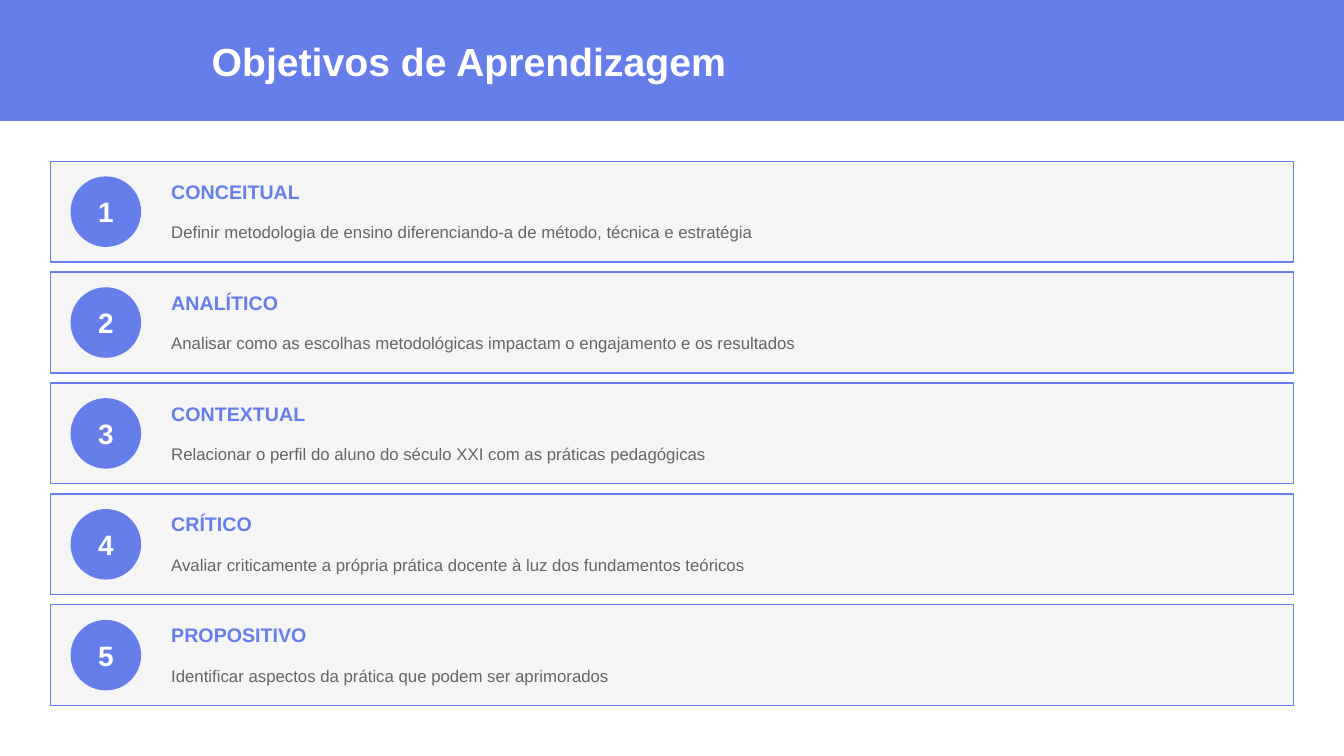
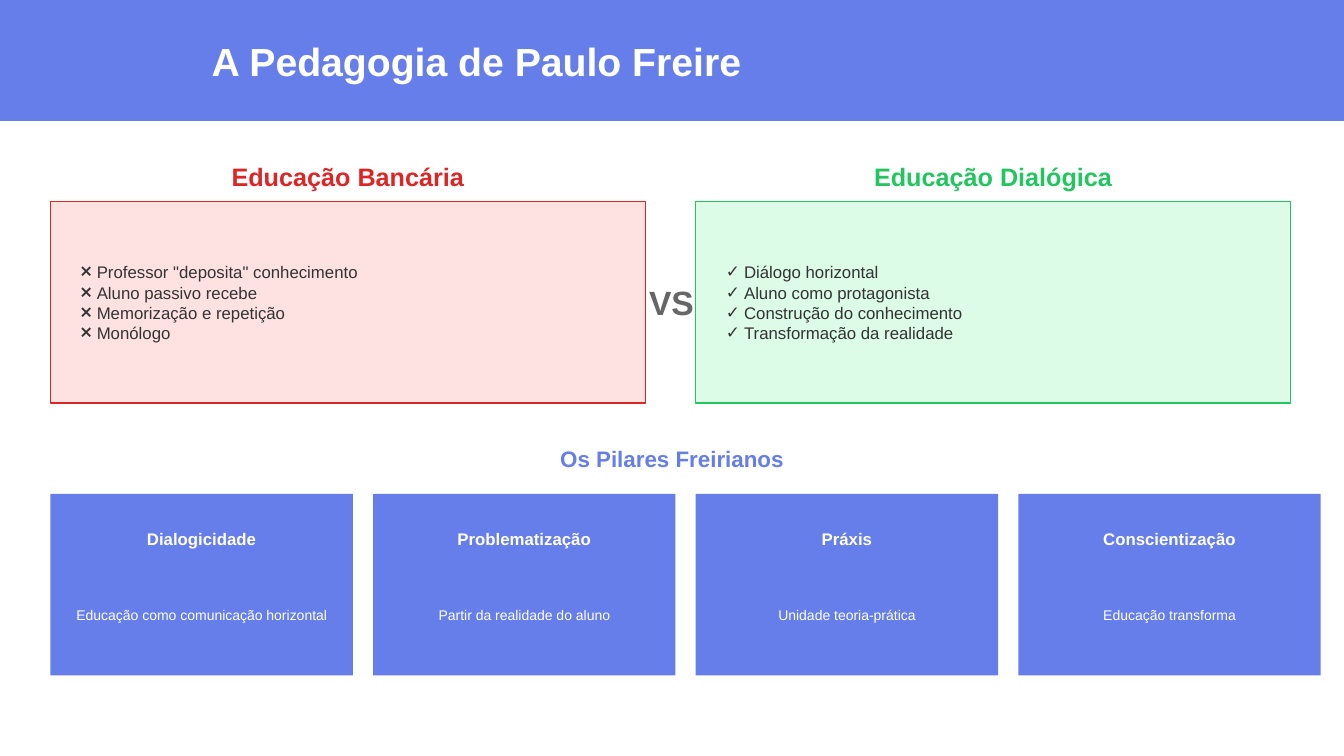
from lxml.etree import SubElement
from pptx import Presentation
from pptx.dml.color import RGBColor
from pptx.enum.shapes import MSO_SHAPE
from pptx.enum.text import MSO_ANCHOR, MSO_AUTO_SIZE, PP_ALIGN
from pptx.oxml.ns import qn
from pptx.util import Pt

PX = 9144  # 100 px to the inch
WIDE, HIGH = 1333, 750
EDGE = 50
FONT = "Arial"
LEFT, MID = PP_ALIGN.LEFT, PP_ALIGN.CENTER
INK = {
    "blue": "667EEA", "white": "FFFFFF", "pale": "F5F5F5",
    "gray": "666666", "dark": "333333",
    "red": "DC2626", "rose": "FEE2E2",
    "green": "22C55E", "mint": "DCFCE7",
}

GOALS = [
    ("CONCEITUAL", "Definir metodologia de ensino diferenciando-a de método, técnica e estratégia"),
    ("ANALÍTICO", "Analisar como as escolhas metodológicas impactam o engajamento e os resultados"),
    ("CONTEXTUAL", "Relacionar o perfil do aluno do século XXI com as práticas pedagógicas"),
    ("CRÍTICO", "Avaliar criticamente a própria prática docente à luz dos fundamentos teóricos"),
    ("PROPOSITIVO", "Identificar aspectos da prática que podem ser aprimorados"),
]
# Heading, line colour, fill colour, bullet, bullet indent, items
SIDES = [
    ("Educação Bancária", "red", "rose", "❌", 16,
     ['Professor "deposita" conhecimento', "Aluno passivo recebe",
      "Memorização e repetição", "Monólogo"]),
    ("Educação Dialógica", "green", "mint", "✓", 18,
     ["Diálogo horizontal", "Aluno como protagonista",
      "Construção do conhecimento", "Transformação da realidade"]),
]
PILLARS = [
    ("Dialogicidade", "Educação como comunicação horizontal"),
    ("Problematização", "Partir da realidade do aluno"),
    ("Práxis", "Unidade teoria-prática"),
    ("Conscientização", "Educação transforma"),
]


def color(name):
    return RGBColor.from_string(INK[name])


def place(shape, x, y, w, h):
    shape.left, shape.top, shape.width, shape.height = (n * PX for n in (x, y, w, h))


def paint(shape, fill, line=None):
    shape.fill.solid()
    shape.fill.fore_color.rgb = color(fill)
    if line:
        shape.line.color.rgb = color(line)
        shape.line.width = Pt(1)
    else:
        shape.line.fill.background()


def mark(para, sign, gap):
    """Give a paragraph a hanging bullet, or none when sign is empty."""
    props = para._p.get_or_add_pPr()
    props.set("marL", str(gap * PX))
    props.set("indent", str(-gap * PX))
    if sign:
        SubElement(props, qn("a:buChar")).set("char", sign)
    else:
        SubElement(props, qn("a:buNone"))


def write(shape, lines, size, ink, bold=False, align=LEFT, sign="", gap=0):
    frame = shape.text_frame
    frame.word_wrap = True
    frame.auto_size = MSO_AUTO_SIZE.NONE
    frame.vertical_anchor = MSO_ANCHOR.MIDDLE
    frame.text = "\n".join(lines)
    for para in frame.paragraphs:
        mark(para, sign, gap)
        para.alignment = align
        para.space_before = Pt(0)
        font = para.font
        font.name, font.size, font.bold = FONT, Pt(size), bold
        font.color.rgb = color(ink)


def label(slide, area, text, size, ink, bold=False, align=LEFT):
    box = slide.shapes.add_textbox(*(n * PX for n in area))
    write(box, [text], size, ink, bold, align)


def block(slide, kind, area, fill, line=None):
    shape = slide.shapes.add_shape(kind, *(n * PX for n in area))
    shape.shadow.inherit = False
    paint(shape, fill, line)
    return shape


def start(deck, layout, text):
    """Add a slide whose title is the blue band."""
    slide = deck.slides.add_slide(deck.slide_layouts[layout])
    title = slide.shapes.title
    place(title, 0, 0, WIDE, 120)
    paint(title, "blue")
    write(title, [text], 28, "white", True)
    title.text_frame.margin_left = 210 * PX
    return slide


def goal(slide, num, y, name, text):
    block(slide, MSO_SHAPE.RECTANGLE, (EDGE, y, WIDE - 2 * EDGE, 100), "pale", "blue")
    disc = block(slide, MSO_SHAPE.OVAL, (70, y + 15, 70, 70), "blue")
    write(disc, [str(num)], 20, "white", True, MID)
    label(slide, (160, y + 10, 300, 40), name, 14, "blue", True)
    label(slide, (160, y + 50, 1100, 40), text, 12, "gray")


def side(head, body, x, name, line, fill, sign, gap, items):
    place(head, x, 150, 590, 50)
    write(head, [name], 18, line, True, MID)
    place(body, x, 200, 590, 200)
    paint(body, fill, line)
    write(body, items, 12, "dark", sign=sign, gap=gap)
    body.text_frame.margin_left = 30 * PX


def pillar(slide, x, name, text):
    block(slide, MSO_SHAPE.RECTANGLE, (x, 490, 300, 180), "blue")
    label(slide, (x, 510, 300, 50), name, 12, "white", True, MID)
    label(slide, (x + 10, 560, 280, 100), text, 10, "white", align=MID)


def main():
    deck = Presentation()
    deck.slide_width, deck.slide_height = WIDE * PX, HIGH * PX

    # Learning goals
    slide = start(deck, 5, "Objetivos de Aprendizagem")
    for i, (name, text) in enumerate(GOALS):
        goal(slide, i + 1, 160 + i * 110, name, text)

    # Two kinds of education
    slide = start(deck, 4, "A Pedagogia de Paulo Freire")
    slots = slide.placeholders
    for i, data in enumerate(SIDES):
        side(slots[2 * i + 1], slots[2 * i + 2], EDGE + i * 640, *data)
    label(slide, (616, 250, 100, 100), "VS", 24, "gray", True, MID)

    # Pillars
    label(slide, (EDGE, 430, WIDE - 2 * EDGE, 50), "Os Pilares Freirianos", 16, "blue", True, MID)
    for i, (name, text) in enumerate(PILLARS):
        pillar(slide, EDGE + i * 320, name, text)

    deck.save("out.pptx")


if __name__ == "__main__":
    main()
